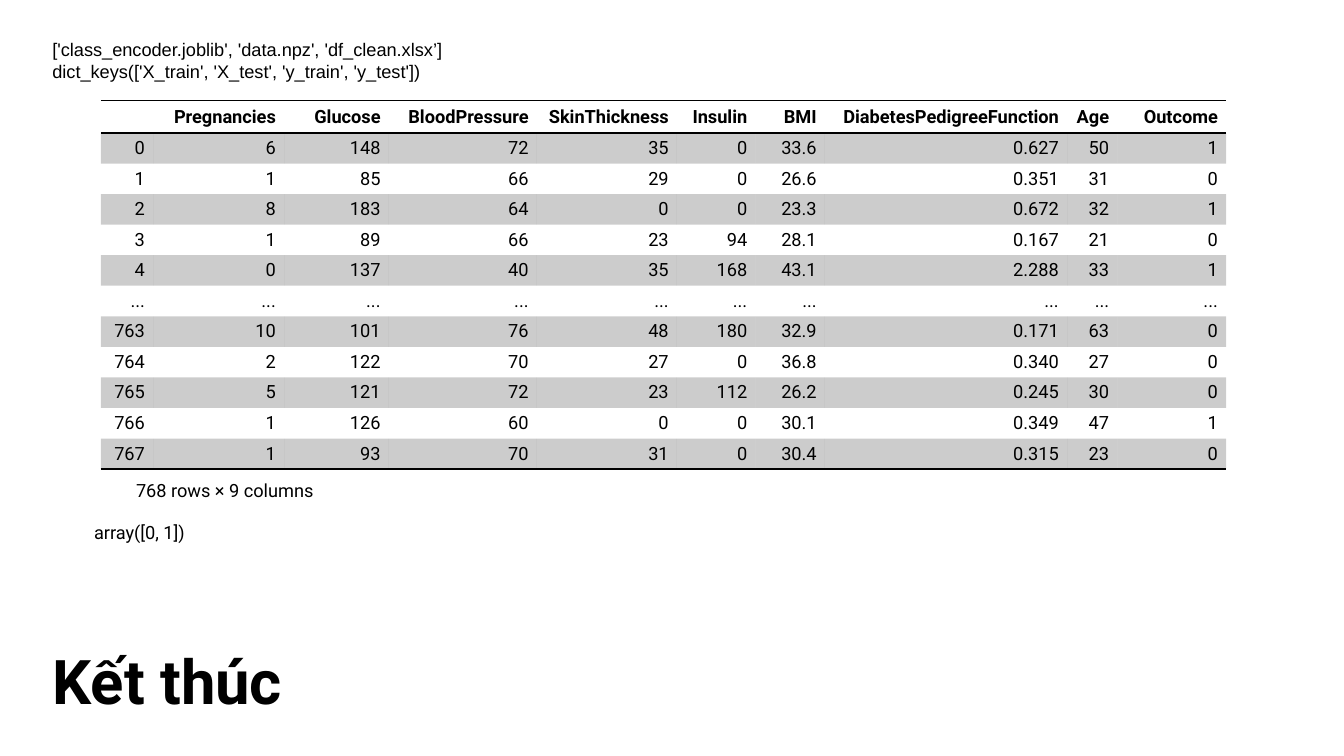
import lxml.etree
import pptx
import pptx.dml.color
import pptx.enum.text
import pptx.oxml.ns
import pptx.util

Cm = pptx.util.Cm
BLACK = "000000"
NO_STYLE = "{2D5ABB26-0587-4C30-8999-92F81FD0307C}"

COLUMN_WIDTHS = [1.32, 3.3, 2.64, 3.73, 3.53, 1.98, 1.75, 6.1, 1.27, 2.74]
HEADER_HEIGHT, ROW_HEIGHT = 0.81, 0.77
PATIENTS = [
    ["", "Pregnancies", "Glucose", "BloodPressure", "SkinThickness", "Insulin",
     "BMI", "DiabetesPedigreeFunction", "Age", "Outcome"],
    ["0", "6", "148", "72", "35", "0", "33.6", "0.627", "50", "1"],
    ["1", "1", "85", "66", "29", "0", "26.6", "0.351", "31", "0"],
    ["2", "8", "183", "64", "0", "0", "23.3", "0.672", "32", "1"],
    ["3", "1", "89", "66", "23", "94", "28.1", "0.167", "21", "0"],
    ["4", "0", "137", "40", "35", "168", "43.1", "2.288", "33", "1"],
    ["..."] * 10,
    ["763", "10", "101", "76", "48", "180", "32.9", "0.171", "63", "0"],
    ["764", "2", "122", "70", "27", "0", "36.8", "0.340", "27", "0"],
    ["765", "5", "121", "72", "23", "112", "26.2", "0.245", "30", "0"],
    ["766", "1", "126", "60", "0", "0", "30.1", "0.349", "47", "1"],
    ["767", "1", "93", "70", "31", "0", "30.4", "0.315", "23", "0"],
]


def rgb(code):
    return pptx.dml.color.RGBColor.from_string(code)


def add_element(parent, tag, **attributes):
    return lxml.etree.SubElement(parent, pptx.oxml.ns.qn(tag), attributes)


def style_font(para, font, size, bold=False):
    para.font.name = font
    para.font.size = pptx.util.Pt(size)
    para.font.bold = bold
    para.font.color.rgb = rgb(BLACK)


def add_text(page, lines, left, top, width, height, font="Roboto"):
    box = page.shapes.add_textbox(Cm(left), Cm(top), Cm(width), Cm(height))
    frame = box.text_frame
    frame.word_wrap = True
    frame.text = "\n".join(lines)
    for para in frame.paragraphs:
        style_font(para, font, 13)


def set_title(page, text, left, top, width, height):
    title = page.shapes.title
    title.left, title.top = Cm(left), Cm(top)
    title.width, title.height = Cm(width), Cm(height)
    frame = title.text_frame
    frame.text = text
    frame.auto_size = pptx.enum.text.MSO_AUTO_SIZE.NONE
    frame.vertical_anchor = pptx.enum.text.MSO_ANCHOR.TOP
    para = frame.paragraphs[0]
    para.alignment = pptx.enum.text.PP_ALIGN.LEFT
    style_font(para, "Roboto", 44, bold=True)


def add_border(cell, side):
    line = add_element(cell._tc.get_or_add_tcPr(), "a:ln" + side, w="12700")
    fill = add_element(line, "a:solidFill")
    add_element(fill, "a:srgbClr", val=BLACK)


def shade(cell, shaded):
    if not shaded:
        cell.fill.background()
        return
    cell.fill.solid()
    cell.fill.fore_color.rgb = rgb(BLACK)
    color = cell._tc.tcPr.find(".//" + pptx.oxml.ns.qn("a:srgbClr"))
    # The last colour in the cell belongs to the fill, after any borders
    color = cell._tc.tcPr.findall(".//" + pptx.oxml.ns.qn("a:srgbClr"))[-1]
    add_element(color, "a:alpha", val="20000")


def write_cell(cell, text, bold):
    cell.text = text
    cell.vertical_anchor = pptx.enum.text.MSO_ANCHOR.MIDDLE
    cell.margin_left = cell.margin_right = Cm(0.21)
    cell.margin_top = cell.margin_bottom = Cm(0.1)
    para = cell.text_frame.paragraphs[0]
    para.alignment = pptx.enum.text.PP_ALIGN.RIGHT
    style_font(para, "Roboto", 13, bold)


def add_data_table(page, rows, left, top):
    last = len(rows) - 1
    frame = page.shapes.add_table(
        len(rows), len(COLUMN_WIDTHS), Cm(left), Cm(top),
        Cm(sum(COLUMN_WIDTHS)), Cm(HEADER_HEIGHT + last * ROW_HEIGHT))
    table = frame.table
    table.first_row = table.horz_banding = False
    table._tbl.tblPr.find(pptx.oxml.ns.qn("a:tableStyleId")).text = NO_STYLE
    for column, width in zip(table.columns, COLUMN_WIDTHS):
        column.width = Cm(width)
    for number, values in enumerate(rows):
        table.rows[number].height = Cm(ROW_HEIGHT if number else HEADER_HEIGHT)
        sides = {0: "TB", last: "B"}.get(number, "")
        for cell, value in zip(table.rows[number].cells, values):
            write_cell(cell, value, bold=number == 0)
            for side in sides:
                add_border(cell, side)
            shade(cell, number % 2 == 1)


def main():
    deck = pptx.Presentation()
    deck.slide_width, deck.slide_height = Cm(33.87), Cm(19.05)
    page = deck.slides.add_slide(deck.slide_layouts[5])

    # Loaded files and their keys
    add_text(page, ["['class_encoder.joblib', 'data.npz', 'df_clean.xlsx’]",
                    "dict_keys(['X_train', 'X_test', 'y_train', 'y_test'])"],
             1.07, 0.84, 12.7, 1.37, font="Arial")

    # Patient data with its summary
    add_data_table(page, PATIENTS, 2.54, 2.54)
    add_text(page, ["768 rows × 9 columns"], 3.18, 11.96, 5.92, 0.81)
    add_text(page, ["array([0, 1])"], 2.12, 13, 3.38, 0.81)

    # Closing title
    set_title(page, "Kết thúc", 1.07, 16.08, 6.55, 2.13)

    deck.save("out.pptx")


if __name__ == "__main__":
    main()
